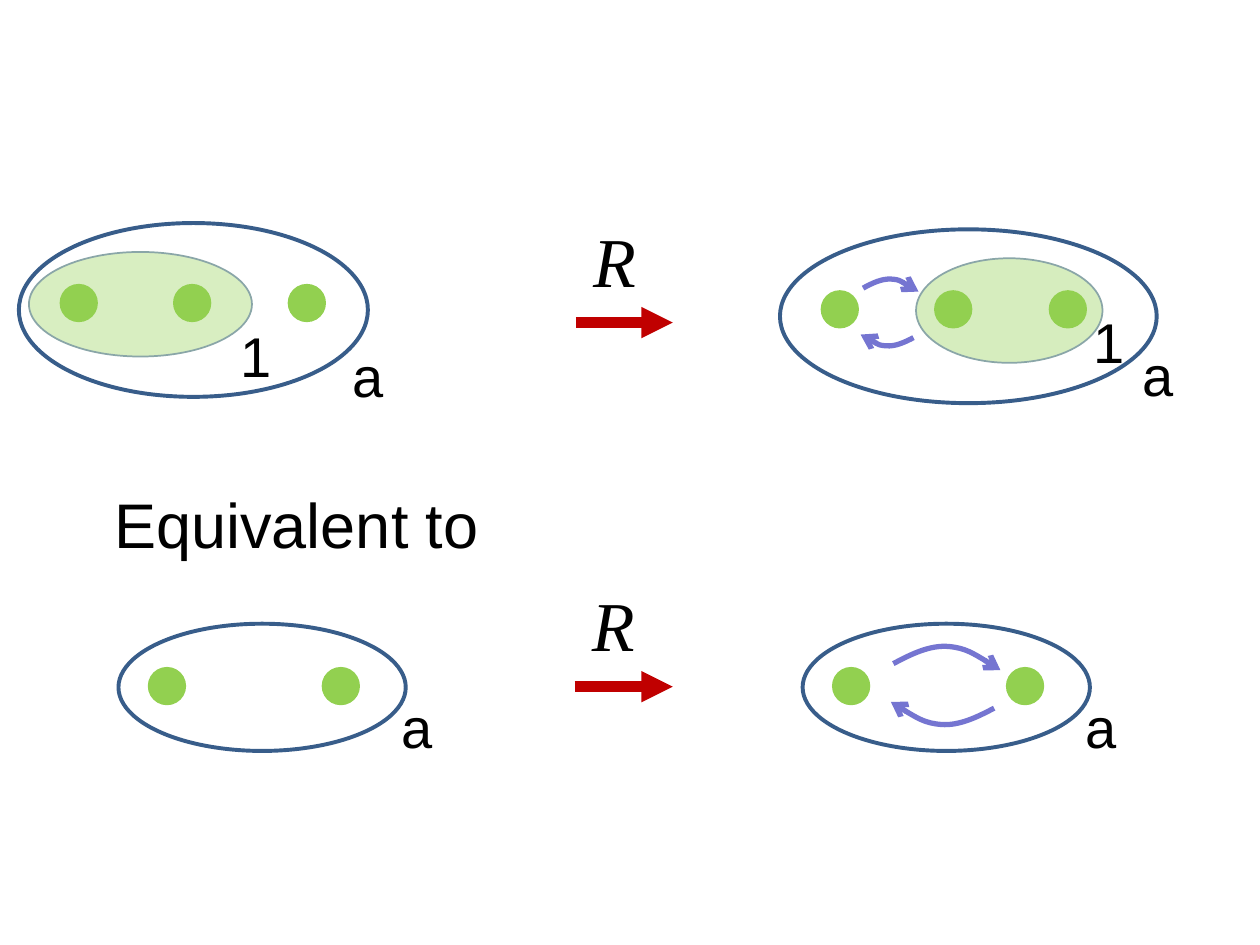
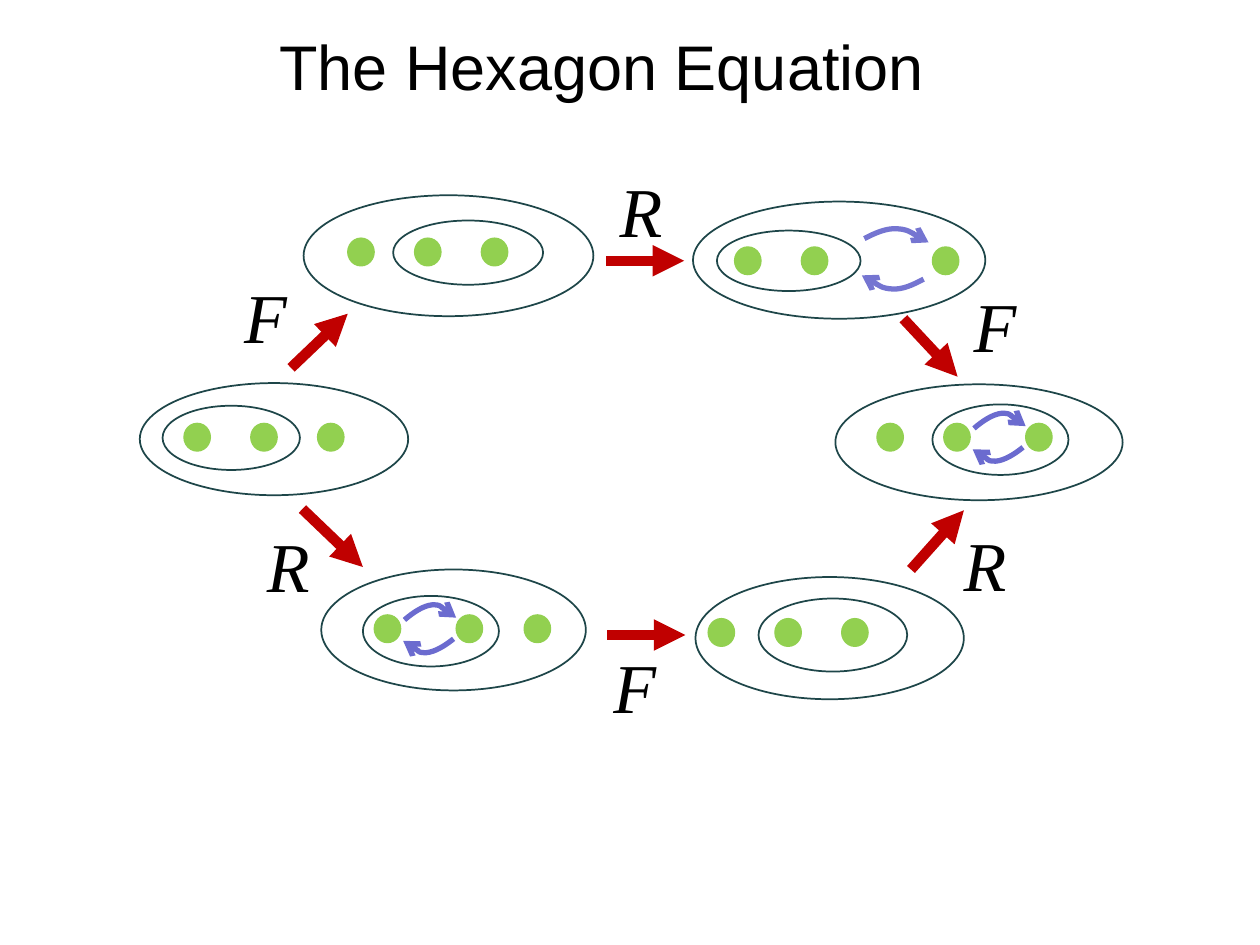
from lxml.etree import SubElement
from pptx import Presentation
from pptx.dml.color import RGBColor
from pptx.enum.shapes import MSO_CONNECTOR, MSO_SHAPE
from pptx.enum.text import MSO_AUTO_SIZE
from pptx.oxml.ns import qn
from pptx.util import Inches, Pt

# Shared look
BLACK, GREEN, RED = "000000", "92D050", "C00000"
BLUE, TEAL, GREY = "385D8A", "1E4649", "8AA6A8"
VIOLET, DEEP_VIOLET = "7575D1", "6B6BCF"
SANS, SERIF = "Arial", "Times New Roman"

# Swap arrows as Bezier points in a unit box; the return arrow is turned by 180 degrees
WIDE = [(0, .7), (.17, .33), (.34, 0), (.51, .05), (.67, .1), (.84, .52), (1, .95)]
ROUND = [(0, 1), (.17, .5), (.37, .05), (.54, 0), (.7, 0), (.85, .4), (1, .85)]

# Slide 1: anyon states as outer ellipse, inner ellipse with opacity, dots, labels, swaps
FUSION = dict(
    dot=(.29, .29, 1), outer_line=(BLUE, 2.25), inner_line=(GREY, 1),
    states=[
        dict(outer=(.15, 1.77, 2.77, 1.38), inner=(.23, 2, 1.77, .83), opacity=35,
             dots=[.48, 1.38, 2.29], row=2.26),
        dict(outer=(6.19, 1.82, 2.99, 1.38), inner=(7.27, 2.05, 1.48, .83), opacity=37,
             dots=[6.52, 7.42, 8.33], row=2.31,
             swap=(WIDE, VIOLET, (6.85, 2.21, .44, .11), (6.83, 2.65, .42, .1))),
        dict(outer=(.94, 4.95, 2.28, 1.01), dots=[1.18, 2.56], row=5.3),
        dict(outer=(6.37, 4.95, 2.28, 1.01), dots=[6.61, 7.99], row=5.3,
             swap=(WIDE, VIOLET, (7.09, 5.12, .85, .21), (7.07, 5.56, .82, .2))),
    ],
    moves=[("R", 4.61, 1.68, (4.57, 2.56), (5.34, 2.56)),
           ("R", 4.6, 4.57, (4.56, 5.45), (5.34, 5.45))],
    charges=[("1", 1.81, 2.5), ("a", 2.7, 2.66), ("1", 8.58, 2.39),
             ("a", 8.97, 2.65), ("a", 3.09, 5.45), ("a", 8.52, 5.45)],
    heading=("Equivalent to", .81, 3.8, 3.12),
)

# Slide 2: six states around the hexagon
HEXAGON = dict(
    dot=(.21, .22, .75), outer_line=(TEAL, 1), inner_line=(TEAL, 1),
    states=[
        dict(outer=(1.11, 3.04, 2.13, .89), inner=(1.29, 3.22, 1.09, .51),
             dots=[1.46, 1.99, 2.52], row=3.36),
        dict(outer=(2.41, 1.55, 2.3, .96), inner=(3.12, 1.75, 1.19, .51),
             dots=[2.76, 3.29, 3.82], row=1.89),
        dict(outer=(5.5, 1.6, 2.32, .93), inner=(5.69, 1.83, 1.14, .48),
             dots=[5.83, 6.36, 7.4], row=1.96,
             swap=(WIDE, VIOLET, (6.86, 1.81, .51, .12), (6.84, 2.18, .49, .12))),
        dict(outer=(6.63, 3.05, 2.28, .92), inner=(7.4, 3.21, 1.08, .56),
             dots=[6.96, 7.49, 8.14], row=3.36,
             swap=(ROUND, DEEP_VIOLET, (7.73, 3.28, .41, .12), (7.72, 3.55, .4, .11))),
        dict(outer=(2.55, 4.52, 2.1, .96), inner=(2.88, 4.73, 1.08, .56),
             dots=[2.97, 3.62, 4.16], row=4.88,
             swap=(ROUND, DEEP_VIOLET, (3.21, 4.8, .41, .12), (3.2, 5.07, .4, .11))),
        dict(outer=(5.52, 4.58, 2.13, .97), inner=(6.02, 4.75, 1.18, .58),
             dots=[5.62, 6.15, 6.68], row=4.91),
    ],
    moves=[("F", 1.84, 2.12, (2.31, 2.92), (2.76, 2.49)),
           ("R", 4.82, 1.28, (4.81, 2.07), (5.43, 2.07)),
           ("F", 7.63, 2.19, (7.17, 2.53), (7.6, 2.99)),
           ("R", 2.02, 4.1, (2.4, 4.04), (2.88, 4.5)),
           ("F", 4.77, 5.06, (4.82, 5.04), (5.44, 5.04)),
           ("R", 7.55, 4.09, (7.23, 4.52), (7.65, 4.05))],
    charges=[],
    heading=("The Hexagon Equation", 2.12, .17, 5.36),
)


def rgb(value):
    return RGBColor.from_string(value)


def set_line(sp, color, width, head=None):
    sp.line.color.rgb = rgb(color)
    sp.line.width = Pt(width)
    if head:
        SubElement(sp.line._get_or_add_ln(), qn("a:tailEnd"), type=head)


def add_ellipse(slide, box, line, fill=None, opacity=100):
    sp = slide.shapes.add_shape(MSO_SHAPE.OVAL, *map(Inches, box))
    sp.shadow.inherit = False
    set_line(sp, *line)
    if fill is None:
        sp.fill.background()
        return
    sp.fill.solid()
    sp.fill.fore_color.rgb = rgb(fill)
    if opacity < 100:
        color = sp._element.spPr.find(".//" + qn("a:srgbClr"))
        SubElement(color, qn("a:alpha"), val=str(opacity * 1000))


def add_text(slide, text, left, top, width, height, size, font=SANS, italic=False):
    box = slide.shapes.add_textbox(*map(Inches, (left, top, width, height)))
    tf = box.text_frame
    tf.word_wrap = False
    tf.auto_size = MSO_AUTO_SIZE.SHAPE_TO_FIT_TEXT
    p = tf.paragraphs[0]
    p.text = text
    p.font.name, p.font.size, p.font.italic = font, Pt(size), italic
    p.font.color.rgb = rgb(BLACK)


def add_move(slide, start, end):
    cx = slide.shapes.add_connector(MSO_CONNECTOR.STRAIGHT, *map(Inches, start + end))
    set_line(cx, RED, 6, "triangle")
    SubElement(cx._element.spPr, qn("a:effectLst"))


def add_curve(slide, curve, box, color):
    left, top, width, height = box
    points = [(Inches(left + x * width), Inches(top + y * height)) for x, y in curve]
    builder = slide.shapes.build_freeform(*points[0])
    builder.add_line_segments(points[1:], close=False)
    sp = builder.convert_to_shape()
    # Join each three segments into one Bezier curve
    segments = list(sp._element.iter(qn("a:lnTo")))
    for i in range(0, len(segments), 3):
        bezier = SubElement(segments[i].getparent(), qn("a:cubicBezTo"))
        for segment in segments[i:i + 3]:
            bezier.append(segment[0])
            segment.getparent().remove(segment)
    sp.shadow.inherit = False
    sp.fill.background()
    set_line(sp, color, 3, "arrow")


def add_state(slide, state, look):
    if "inner" in state:
        opacity = state.get("opacity")
        add_ellipse(slide, state["inner"], look["inner_line"],
                    GREEN if opacity else None, opacity or 100)
    width, height, weight = look["dot"]
    for left in state["dots"]:
        add_ellipse(slide, (left, state["row"], width, height), (GREEN, weight), GREEN)
    add_ellipse(slide, state["outer"], look["outer_line"])
    if "swap" in state:
        curve, color, upper, lower = state["swap"]
        add_curve(slide, curve, upper, color)
        add_curve(slide, [(1 - x, 1 - y) for x, y in curve], lower, color)


def add_diagram(prs, content):
    slide = prs.slides.add_slide(prs.slide_layouts[6])
    for state in content["states"]:
        add_state(slide, state, content)
    for name, left, top, start, end in content["moves"]:
        add_move(slide, start, end)
        add_text(slide, name, left, top, .54, .77, 40, SERIF, True)
    for charge, left, top in content["charges"]:
        add_text(slide, charge, left, top, .45, .63, 32)
    add_text(slide, *content["heading"], .71, 36)


def main():
    prs = Presentation()
    prs.slide_width, prs.slide_height = Inches(10), Inches(7.5)
    for content in (FUSION, HEXAGON):
        add_diagram(prs, content)
    prs.save("out.pptx")


if __name__ == "__main__":
    main()
